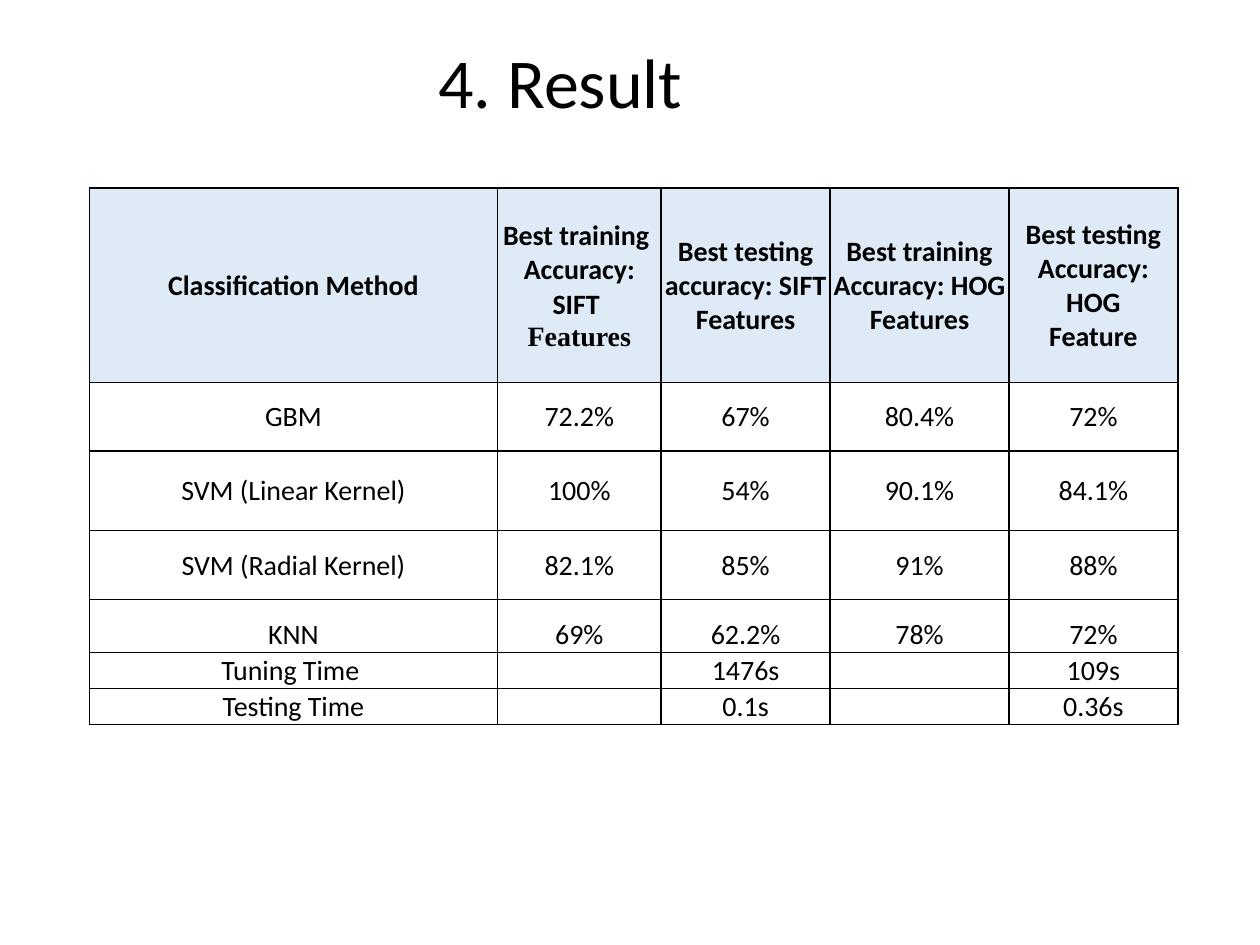
from pptx import Presentation
from pptx.dml.color import RGBColor
from pptx.enum.text import MSO_ANCHOR, PP_ALIGN
from pptx.oxml import parse_xml
from pptx.oxml.ns import nsdecls
from pptx.util import Pt

COLORS = {"ink": "000000", "head": "DEEBF7"}
FONT = "Calibri"
SIZE = 16
COLS = [233.2, 93.5, 96.6, 102.2, 96.5]
ROWS = [111.4, 39, 45.6, 39.4, 30.3, 20.5, 20.5]
DATA = [
    ["Classification Method",
     "Best training \nAccuracy: SIFT \nFeatures",
     "Best testing accuracy: SIFT\nFeatures",
     "Best training\nAccuracy: HOG\nFeatures",
     "Best testing\nAccuracy: HOG\nFeature"],
    ["GBM", "72.2%", "67%", "80.4%", "72%"],
    ["SVM (Linear Kernel)", "100%", "54%", "90.1%", "84.1%"],
    ["SVM (Radial Kernel)", "82.1%", "85%", "91%", "88%"],
    ["KNN", "69%", "62.2%", "78%", "72%"],
    ["Tuning Time ", "", "1476s", "", "109s"],
    ["Testing Time", "", "0.1s", "", "0.36s"],
]


def style(run, size, bold=False):
    font = run.font
    font.name, font.size, font.bold = FONT, Pt(size), bold
    font.color.rgb = RGBColor.from_string(COLORS["ink"])


def add_title(slide, left, top, width, height):
    title = slide.shapes.title
    title.left, title.top = Pt(left), Pt(top)
    title.width, title.height = Pt(width), Pt(height)
    frame = title.text_frame
    frame.text = "4. Result"
    frame.vertical_anchor = MSO_ANCHOR.MIDDLE
    para = frame.paragraphs[0]
    para.level, para.alignment = 1, PP_ALIGN.LEFT
    props = para._p.get_or_add_pPr()
    props.set("marL", str(Pt(36)))
    props.set("indent", "0")
    style(para.runs[0], 40)


def add_edges(cell):
    props = cell._tc.get_or_add_tcPr()
    for spot, side in enumerate("LRTB"):
        props.insert(spot, parse_xml(
            f'<a:ln{side} {nsdecls("a")} w="{Pt(1)}"><a:solidFill>'
            f'<a:srgbClr val="{COLORS["ink"]}"/></a:solidFill></a:ln{side}>'))


def fill_cell(cell, text, head, space):
    cell.margin_left = cell.margin_right = cell.margin_top = Pt(0.7)
    cell.margin_bottom = Pt(0)
    cell.vertical_anchor = MSO_ANCHOR.MIDDLE
    if head:
        cell.fill.solid()
        cell.fill.fore_color.rgb = RGBColor.from_string(COLORS["head"])
    else:
        cell.fill.background()
    add_edges(cell)
    cell.text_frame.text = text
    for para in cell.text_frame.paragraphs:
        para.alignment = PP_ALIGN.CENTER
        if space:
            para.line_spacing = space
        for run in para.runs:
            style(run, SIZE, head)
        # An empty cell keeps the text size, so its row stays low
        if not para.runs:
            para._p.append(parse_xml(
                f'<a:endParaRPr {nsdecls("a")} sz="{SIZE * 100}"/>'))


def add_results(slide, left, top):
    frame = slide.shapes.add_table(
        len(ROWS), len(COLS), Pt(left), Pt(top), Pt(sum(COLS)), Pt(sum(ROWS)))
    table = frame.table
    table.horz_banding = False
    for col, width in zip(table.columns, COLS):
        col.width = Pt(width)
    for row, height, texts in zip(table.rows, ROWS, DATA):
        row.height = Pt(height)
        space = 1.5 if texts[0] == "KNN" else None
        for cell, text in zip(row.cells, texts):
            fill_cell(cell, text, texts is DATA[0], space)
    # One header line is set in a serif face
    last = table.cell(0, 1).text_frame.paragraphs[-1]
    last.runs[0].font.name = "Times New Roman"


def main():
    deck = Presentation()
    deck.slide_width, deck.slide_height = Pt(720), Pt(540)
    slide = deck.slides.add_slide(deck.slide_layouts[5])
    add_title(slide, 207.4, -15.1, 276.5, 122.4)
    add_results(slide, 51.1, 107.3)
    deck.save("out.pptx")


if __name__ == "__main__":
    main()
